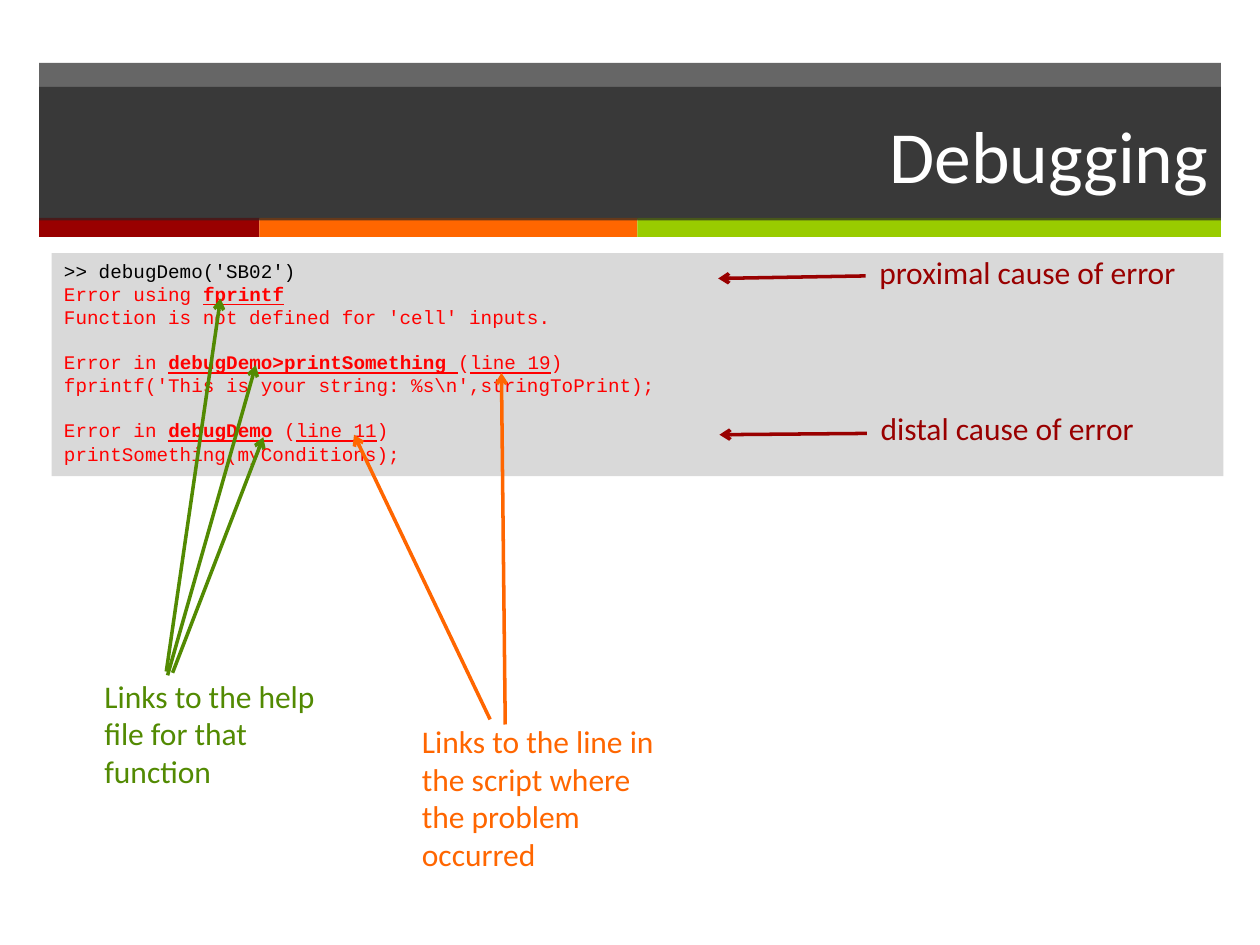
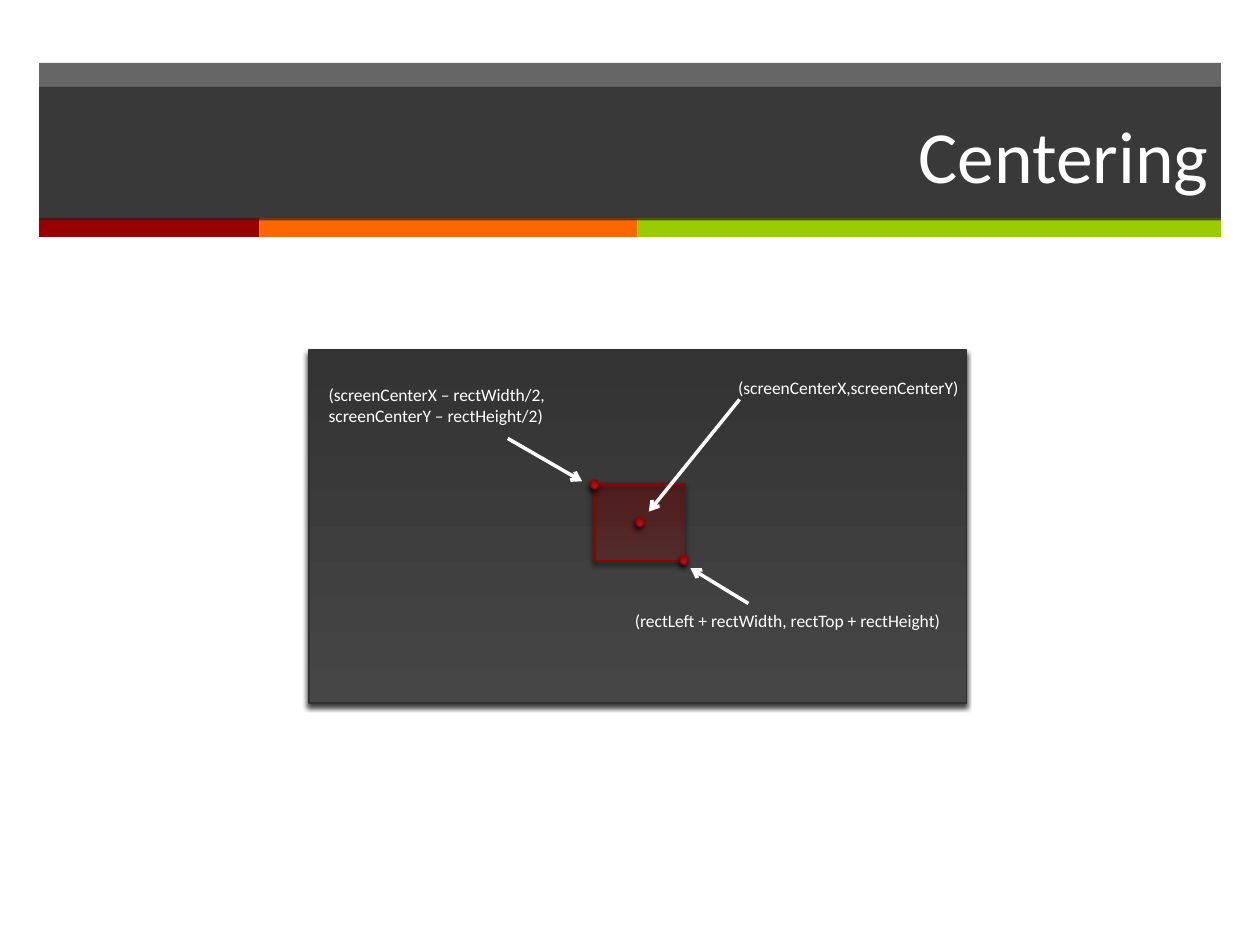
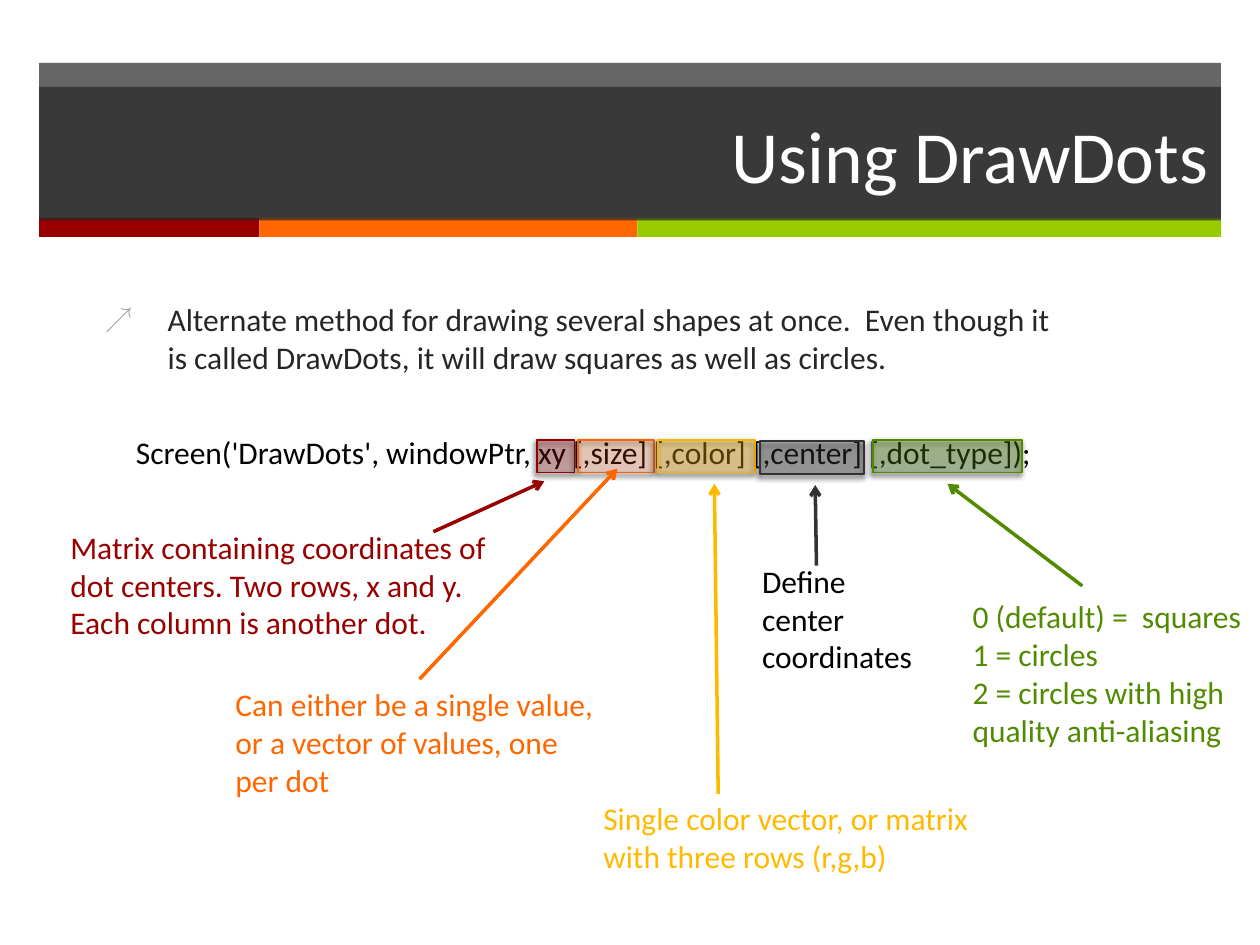
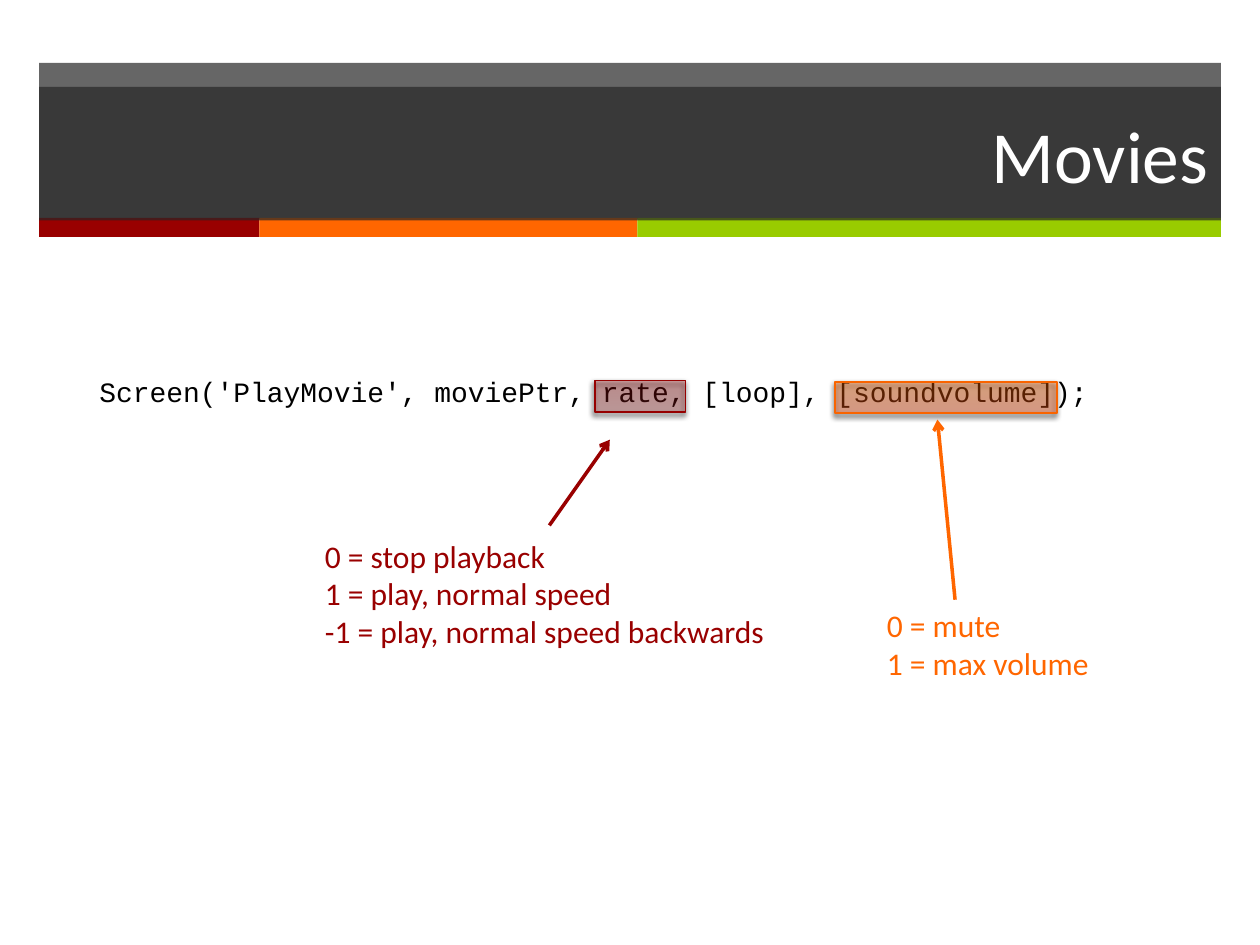
"""Builds four slides on debugging and drawing with Screen commands."""
from dataclasses import dataclass

from lxml import etree
from pptx import Presentation
from pptx.dml.color import RGBColor
from pptx.enum.shapes import MSO_CONNECTOR, MSO_SHAPE
from pptx.enum.text import MSO_ANCHOR, MSO_AUTO_SIZE, PP_ALIGN
from pptx.oxml.ns import qn
from pptx.util import Inches, Pt

RECT, OVAL = MSO_SHAPE.RECTANGLE, MSO_SHAPE.OVAL
STRAIGHT = MSO_CONNECTOR.STRAIGHT
LEFT, RIGHT = PP_ALIGN.LEFT, PP_ALIGN.RIGHT
TOP, MIDDLE = MSO_ANCHOR.TOP, MSO_ANCHOR.MIDDLE
GROW, FIXED = MSO_AUTO_SIZE.SHAPE_TO_FIT_TEXT, MSO_AUTO_SIZE.NONE
TITLE_AND_BODY, TITLE_ONLY = 1, 5


@dataclass(frozen=True)
class Theme:
    """Colours, fonts and type sizes; a glow is (bottom, top, outline)."""
    font: str = "Calibri"
    mono: str = "Courier New"
    white: str = "FFFFFF"
    black: str = "000000"
    ink: str = "262626"
    panel: str = "D9D9D9"
    bullet: str = "A6A6A6"
    error: str = "FF0000"
    red: str = "990000"
    orange: str = "FF6600"
    lime: str = "99CC00"
    green: str = "528A02"
    yellow: str = "FFBA00"
    grey: str = "333333"
    red_glow: tuple = ("9D2828", "990000", "960000")
    orange_glow: tuple = ("FF5217", "FF6600", "F96400")
    yellow_glow: tuple = ("FFAE17", "FFBA00", "F9B600")
    green_glow: tuple = ("548E2B", "528C00", "518900")
    grey_glow: tuple = ("464646", "333333", "323232")
    title_size: int = 42
    text_size: int = 18
    command_size: int = 16
    code_size: int = 11
    label_size: int = 10


def rgb(color):
    """Turn a hex string into a colour."""
    return RGBColor.from_string(color)


def box(*at):
    """Turn inches into lengths."""
    return [Inches(v) for v in at]


def sub(parent, tag, **attrs):
    """Append a drawing element."""
    el = etree.SubElement(parent, qn(tag))
    for name, value in attrs.items():
        el.set(name, str(value))
    return el


def set_alpha(sp, percent):
    """Set the opacity of a shape's fill."""
    for color in sp.element.spPr.iter(qn("a:srgbClr")):
        sub(color, "a:alpha", val=percent * 1000)


class Deck:
    """Holds the style and the current slide."""

    def __init__(self, theme):
        """Start an empty deck."""
        self.t = theme
        self.prs = Presentation()
        self.prs.slide_width, self.prs.slide_height = box(10, 7.5)
        self.s = None

    def slide(self, title, layout=TITLE_ONLY):
        """Add a slide with its title."""
        first = self.s is None
        self.s = self.prs.slides.add_slide(self.prs.slide_layouts[layout])
        if first:
            self.master_bands()
        sp = self.s.shapes.title
        self.place(sp, 0.31, 0.69, 9.38, 1.06)
        sp.fill.solid()
        sp.fill.fore_color.rgb = rgb(self.t.ink)
        set_alpha(sp, 70)
        tf = sp.text_frame
        tf.text = title
        tf.auto_size, tf.vertical_anchor = FIXED, MIDDLE
        self.format(tf, self.t.white, self.t.title_size, align=RIGHT)

    def master_bands(self):
        """Put the shared bands on the slide master."""
        t = self.t
        bands = [(0.31, 0.5, 9.38, 1.24, t.ink), (0.31, 1.73, 1.75, 0.15, t.red),
                 (2.06, 1.73, 3, 0.15, t.orange), (5.06, 1.73, 4.63, 0.15, t.lime)]
        for i, (*at, color) in enumerate(bands):
            sp = self.rect(at, color)
            if color == t.ink:
                set_alpha(sp, 70)
            sp.element.nvSpPr.cNvPr.set("id", str(100 + i))
            self.prs.slide_master.shapes.element.insert(2 + i, sp.element)

    def place(self, sp, *at):
        """Move and size a shape."""
        sp.left, sp.top, sp.width, sp.height = box(*at)

    def format(self, tf, color, size, font=None, align=LEFT):
        """Format all the text of a frame."""
        for p in tf.paragraphs:
            p.alignment = align
            for r in p.runs:
                r.font.name = font or self.t.font
                r.font.size = Pt(size)
                r.font.color.rgb = rgb(color)

    def rect(self, at, color):
        """Add a plain rectangle."""
        sp = self.s.shapes.add_shape(RECT, *box(*at))
        sp.shadow.inherit = False
        sp.fill.solid()
        sp.fill.fore_color.rgb = rgb(color)
        sp.line.fill.background()
        return sp

    def glow(self, at, colors, alpha=100, shape=RECT):
        """Add a shape with a gradient, an outline and a shadow."""
        sp = self.s.shapes.add_shape(shape, *box(*at))
        sp.fill.gradient()
        sp.fill.gradient_angle = 90
        for i, stop in enumerate(sp.fill.gradient_stops):
            stop.position = i
            stop.color.rgb = rgb(colors[i])
        if alpha < 100:
            set_alpha(sp, alpha)
        sp.line.color.rgb = rgb(colors[2])
        sp.line.width = Pt(1)
        sp.shadow.inherit = False
        effects = sp.element.spPr.find(qn("a:effectLst"))
        shadow = sub(effects, "a:outerShdw", blurRad=Pt(3), dist=Pt(2),
                     dir=110 * 60000, rotWithShape=0)
        color = sub(shadow, "a:srgbClr", val=self.t.black)
        sub(color, "a:alpha", val=75000)

    def text(self, at, text, color, size=None, font=None):
        """Add a wrapped text box."""
        tf = self.s.shapes.add_textbox(*box(*at)).text_frame
        tf.word_wrap, tf.auto_size = True, GROW
        tf.text = text
        self.format(tf, color, size or self.t.text_size, font)

    def arrow(self, start, end, color):
        """Add a line with an open arrowhead at its end."""
        cn = self.s.shapes.add_connector(STRAIGHT, *box(*start, *end))
        cn.line.color.rgb = rgb(color)
        cn.line.width = Pt(2)
        spPr = cn.element.spPr
        sub(spPr.find(qn("a:ln")), "a:tailEnd", type="arrow")
        sub(spPr, "a:effectLst")

    def bullet(self, at, text):
        """Fill the body placeholder with one bullet."""
        sp = self.s.placeholders[1]
        self.place(sp, *at)
        tf = sp.text_frame
        tf.text = text
        tf.auto_size = FIXED
        self.format(tf, self.t.ink, self.t.text_size)
        p = tf.paragraphs[0]
        p.space_before = Pt(20)
        pPr = p._p.get_or_add_pPr()
        pPr.set("marL", str(Inches(0.5)))
        pPr.set("indent", str(Inches(-0.5)))
        sub(sub(pPr, "a:buClr"), "a:srgbClr", val=self.t.bullet)
        sub(pPr, "a:buSzPct", val=90000)
        sub(pPr, "a:buChar", char="↗")

    def console(self, at, command, groups):
        """Add a panel with a command and groups of error lines."""
        tf = self.rect(at, self.t.panel).text_frame
        tf.word_wrap, tf.auto_size, tf.vertical_anchor = True, GROW, TOP
        tf.text = command
        for i, group in enumerate(groups):
            for j, line in enumerate(group):
                p = tf.add_paragraph()
                if i and not j:
                    p.space_before = Pt(12.5)
                for text, marks in line:
                    r = p.add_run()
                    r.text = text
                    r.font.bold = "b" in marks
                    r.font.underline = "u" in marks
        self.format(tf, self.t.error, self.t.code_size, self.t.mono)
        tf.paragraphs[0].runs[0].font.color.rgb = rgb(self.t.black)


def debugging(d):
    """Causes and links in an error message."""
    t = d.t
    d.slide("Debugging")
    d.console((0.41, 2.01, 9.3, 1.77), ">> debugDemo('SB02')", [
        [[("Error using ", ""), ("fprintf", "bu")],
         [("Function is not defined for 'cell' inputs.", "")]],
        [[("Error in ", ""), ("debugDemo>printSomething ", "bu"), ("(", ""),
          ("line 19", "u"), (")", "")],
         [("fprintf('This is your string: %s\\n',stringToPrint);", "")]],
        [[("Error in ", ""), ("debugDemo", "bu"), (" (", ""),
          ("line 11", "u"), (")", "")],
         [("printSomething(myConditions);", "")]],
    ])
    for start, end, color in [
            ((1.32, 5.33), (1.75, 2.37), t.green),
            ((1.33, 5.36), (2.03, 2.9), t.green),
            ((1.37, 5.34), (2.09, 3.47), t.green),
            ((4.01, 5.75), (3.98, 2.96), t.orange),
            ((3.89, 5.71), (2.81, 3.45), t.orange),
            ((6.87, 2.19), (5.7, 2.21), t.red),
            ((6.88, 3.44), (5.71, 3.45), t.red)]:
        d.arrow(start, end, color)
    d.text((0.73, 5.32, 2.11, 1.01), "Links to the help file for that function",
           t.green)
    d.text((3.25, 5.68, 2.11, 1.31),
           "Links to the line in the script where the problem occurred", t.orange)
    d.text((6.88, 1.96, 2.71, 0.4), "proximal cause of error", t.red)
    d.text((6.89, 3.2, 2.71, 0.4), "distal cause of error", t.red)


def centering(d):
    """A rectangle centred on a screen."""
    t = d.t
    d.slide("Centering")
    d.glow((2.45, 2.78, 5.22, 2.8), t.grey_glow)
    d.glow((4.72, 3.84, 0.72, 0.61), t.red_glow, 33)
    for start, end in [((5.87, 3.17), (5.15, 4.06)),
                       ((4.03, 3.48), (4.62, 3.82)),
                       ((5.94, 4.79), (5.48, 4.51))]:
        d.arrow(start, end, t.white)
    for at, label in [
            ((5.76, 2.94, 2.67, 0.27), "(screenCenterX,screenCenterY)"),
            ((2.51, 3, 2.72, 0.44),
             "(screenCenterX – rectWidth/2, screenCenterY – rectHeight/2)"),
            ((4.94, 4.79, 2.72, 0.27),
             "(rectLeft + rectWidth, rectTop + rectHeight)")]:
        d.text(at, label, t.white, t.label_size)
    for x, y in [(5.05, 4.11), (4.69, 3.81), (5.4, 4.41)]:
        d.glow((x, y, 0.06, 0.07), t.red_glow, shape=OVAL)


def draw_dots(d):
    """The arguments of DrawDots."""
    t = d.t
    d.slide("Using DrawDots", TITLE_AND_BODY)
    d.bullet((0.73, 2.33, 7.74, 1.38),
             "Alternate method for drawing several shapes at once.  Even though "
             "it is called DrawDots, it will draw squares as well as circles.")
    d.text((0.98, 3.39, 8.25, 0.4),
           "Screen('DrawDots', windowPtr, xy [,size] [,color] [,center] "
           "[,dot_type]);", t.black)
    for x, y, w, colors, alpha in [
            (4.26, 3.49, 0.3, t.red_glow, 27),
            (4.59, 3.49, 0.6, t.orange_glow, 18),
            (5.22, 3.49, 0.77, t.yellow_glow, 32),
            (6.93, 3.49, 1.18, t.green_glow, 33),
            (6.03, 3.5, 0.83, t.grey_glow, 34)]:
        d.glow((x, y, w, 0.26), colors, alpha)
    for start, end, color in [
            ((3.44, 4.22), (4.32, 3.82), t.red),
            ((3.33, 5.39), (4.9, 3.72), t.orange),
            ((5.7, 6.3), (5.67, 3.84), t.yellow),
            ((8.59, 4.65), (7.52, 3.84), t.green),
            ((6.48, 4.49), (6.47, 3.85), t.grey)]:
        d.arrow(start, end, color)
    d.text((0.46, 4.14, 3.5, 1.01),
           "Matrix containing coordinates of dot centers. Two rows, x and y.  "
           "Each column is another dot.", t.red)
    d.text((1.77, 5.39, 3.1, 1.01),
           "Can either be a single value, or a vector of values, one per dot",
           t.orange)
    d.text((4.69, 6.29, 3.1, 1.01),
           "Single color vector, or matrix with three rows (r,g,b)", t.yellow)
    d.text((7.62, 4.69, 2.48, 1.31),
           "0 (default) =  squares\n1 = circles\n"
           "2 = circles with high quality anti-aliasing", t.green)
    d.text((5.95, 4.41, 1.54, 1.01), "Define center coordinates", t.black)


def movies(d):
    """The arguments of PlayMovie."""
    t = d.t
    d.slide("Movies")
    d.text((0.69, 2.92, 8.8, 0.37),
           "Screen('PlayMovie', moviePtr, rate, [loop], [soundvolume]);",
           t.black, t.command_size, t.mono)
    d.glow((4.72, 3.02, 0.72, 0.25), t.red_glow, 30)
    d.glow((6.63, 3.03, 1.76, 0.25), t.orange_glow, 35)
    d.arrow((4.36, 4.17), (4.84, 3.49), t.red)
    d.arrow((7.58, 4.76), (7.44, 3.33), t.orange)
    d.text((2.48, 4.21, 4.72, 1.01),
           "0 = stop playback\n1 = play, normal speed\n"
           "-1 = play, normal speed backwards", t.red)
    d.text((6.94, 4.76, 2.12, 0.71), "0 = mute\n1 = max volume", t.orange)


def main():
    """Build and save the deck."""
    d = Deck(Theme())
    for build in (debugging, centering, draw_dots, movies):
        build(d)
    d.prs.save("out.pptx")


if __name__ == "__main__":
    main()
